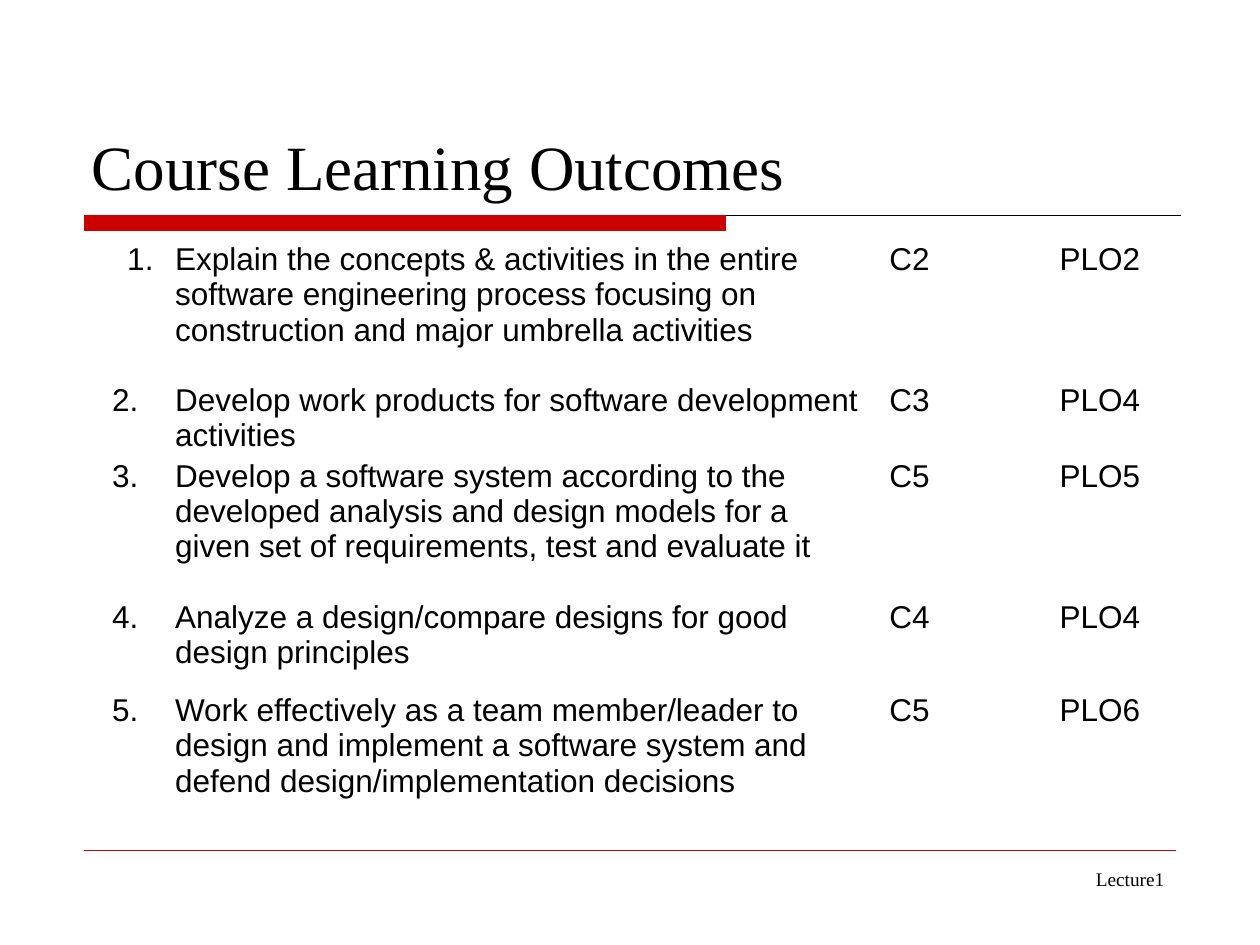
from lxml.etree import SubElement
from pptx import Presentation
from pptx.dml.color import RGBColor
from pptx.enum.shapes import MSO_CONNECTOR, MSO_SHAPE
from pptx.enum.text import MSO_ANCHOR, PP_ALIGN
from pptx.oxml.ns import qn
from pptx.util import Inches, Pt

# Content
TITLE = "Course Learning Outcomes"
FOOTER = "Lecture1"
OUTCOMES = [
    ("Explain the concepts & activities in the entire software engineering "
     "process focusing on construction and major umbrella activities", "C2", "PLO2"),
    ("Develop work products for software development activities", "C3", "PLO4"),
    ("Develop a software system according to the developed analysis and design "
     "models for a given set of requirements, test and evaluate it", "C5", "PLO5"),
    ("Analyze a design/compare designs for good design principles", "C4", "PLO4"),
    ("Work effectively as a team member/leader to design and implement a software "
     "system and defend design/implementation decisions", "C5", "PLO6"),
]

# Layout and style
COLORS = {"accent": "CC0000", "text": "000000", "page": "FFFFFF"}
COLS = [6.17, 1.35, 0.99]
ROWS = [1.12, 0.57, 1.12, 0.74, 1.12]
LEFT, RULE_Y, FOOT_Y = 0.67, 1.71, 6.75
HANG = 0.5


def color(name):
    return RGBColor.from_string(COLORS[name])


def write(tf, text, size=18, font="Arial", align=PP_ALIGN.LEFT, anchor=MSO_ANCHOR.TOP):
    tf.word_wrap = True
    tf.vertical_anchor = anchor
    p = tf.paragraphs[0]
    p.alignment = align
    r = p.add_run()
    r.text = text
    r.font.size, r.font.name = Pt(size), font
    r.font.color.rgb = color("text")
    return p


def hang(p, indent):
    pPr = p._p.get_or_add_pPr()
    pPr.set("marL", str(Inches(HANG)))
    pPr.set("indent", str(Inches(-indent)))
    return pPr


def rule(s, x1, x2, y, name, width):
    line = s.shapes.add_connector(
        MSO_CONNECTOR.STRAIGHT, Inches(x1), Inches(y), Inches(x2), Inches(y))
    line.line.color.rgb, line.line.width = color(name), Pt(width)
    SubElement(line._element.spPr, qn("a:effectLst"))


prs = Presentation()
prs.slide_width, prs.slide_height = Inches(10), Inches(7.5)
s = prs.slides.add_slide(prs.slide_layouts[5])
s.background.fill.solid()
s.background.fill.fore_color.rgb = color("page")

# Rules and accent bar
rule(s, LEFT, 9.37, RULE_Y, "text", 0.5)
bar = s.shapes.add_shape(
    MSO_SHAPE.RECTANGLE, Inches(LEFT), Inches(RULE_Y), Inches(5.09), Inches(0.12))
bar.shadow.inherit = False
bar.fill.solid()
bar.fill.fore_color.rgb = bar.line.color.rgb = color("accent")
bar.line.width = Pt(0.75)
rule(s, LEFT, 9.33, FOOT_Y, "accent", 0.75)

# Title and footer
title = s.shapes.title
title.left, title.top = Inches(0.63), Inches(0.33)
title.width, title.height = Inches(8.75), Inches(1.33)
write(title.text_frame, TITLE, size=36, font="Times New Roman", anchor=MSO_ANCHOR.BOTTOM)
footer = s.shapes.add_textbox(Inches(6.92), Inches(6.83), Inches(2.42), Inches(0.52))
write(footer.text_frame, FOOTER, size=11, font="Times New Roman", align=PP_ALIGN.RIGHT)

# Outcomes table
table = s.shapes.add_table(
    len(ROWS), len(COLS), Inches(0.82), Inches(1.92),
    Inches(sum(COLS)), Inches(sum(ROWS))).table
table.first_row = table.horz_banding = False
for col, width in zip(table.columns, COLS):
    col.width = Inches(width)
for row, height in zip(table.rows, ROWS):
    row.height = Inches(height)

for i, outcome in enumerate(OUTCOMES):
    for j, text in enumerate(outcome):
        cell = table.cell(i, j)
        cell.fill.background()
        cell.margin_left = cell.margin_right = Inches(0.07)
        cell.margin_top = cell.margin_bottom = 0
        typed_number = j == 0 and i > 0
        p = write(cell.text_frame, f"{i + 1}.\t{text}" if typed_number else text)
        if typed_number:
            hang(p, HANG)
        elif j == 0:  # the first outcome is numbered automatically
            pPr = hang(p, 0.38)
            SubElement(pPr, qn("a:buFont"), typeface="+mj-lt")
            SubElement(pPr, qn("a:buAutoNum"), type="arabicPeriod")

prs.save("out.pptx")
